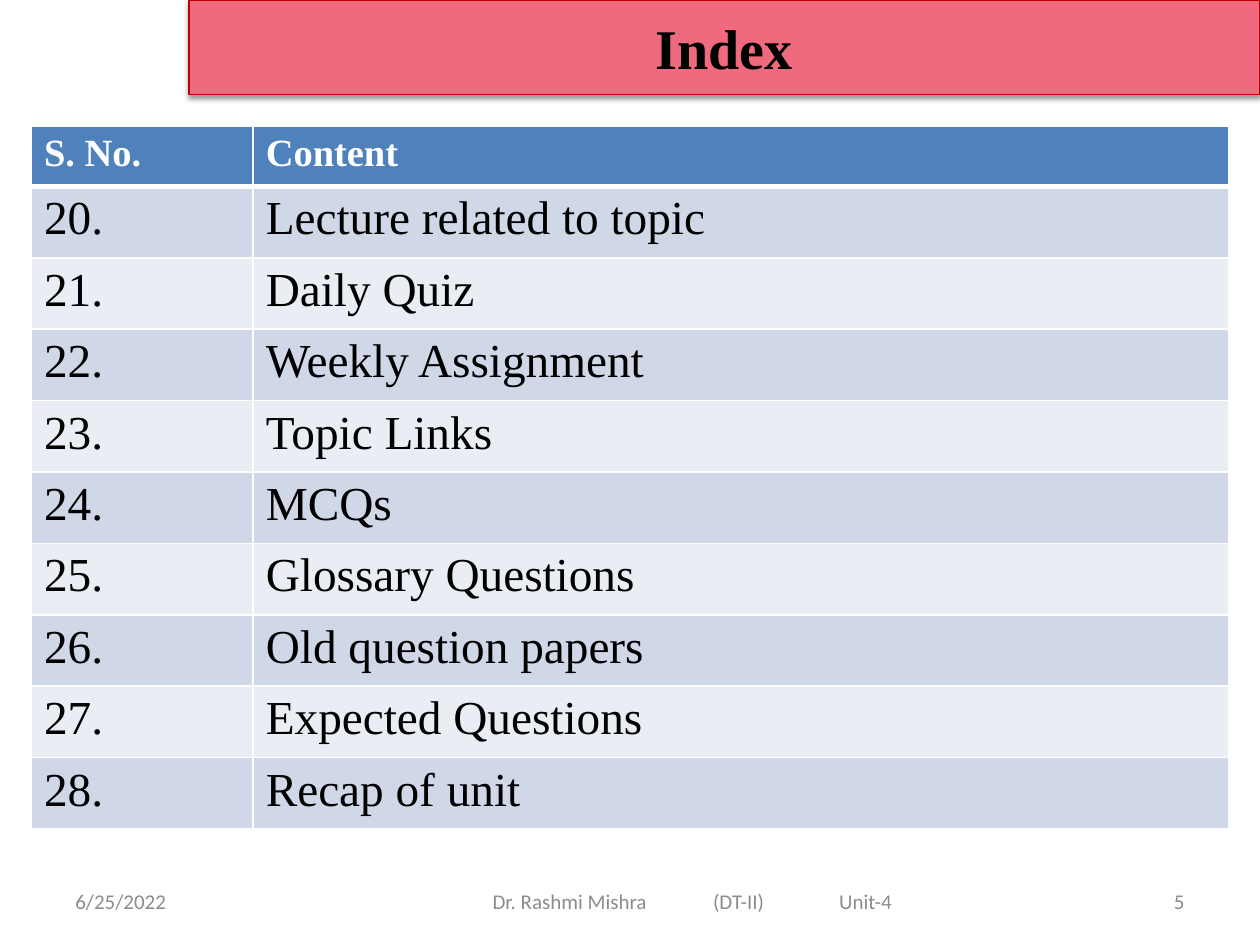
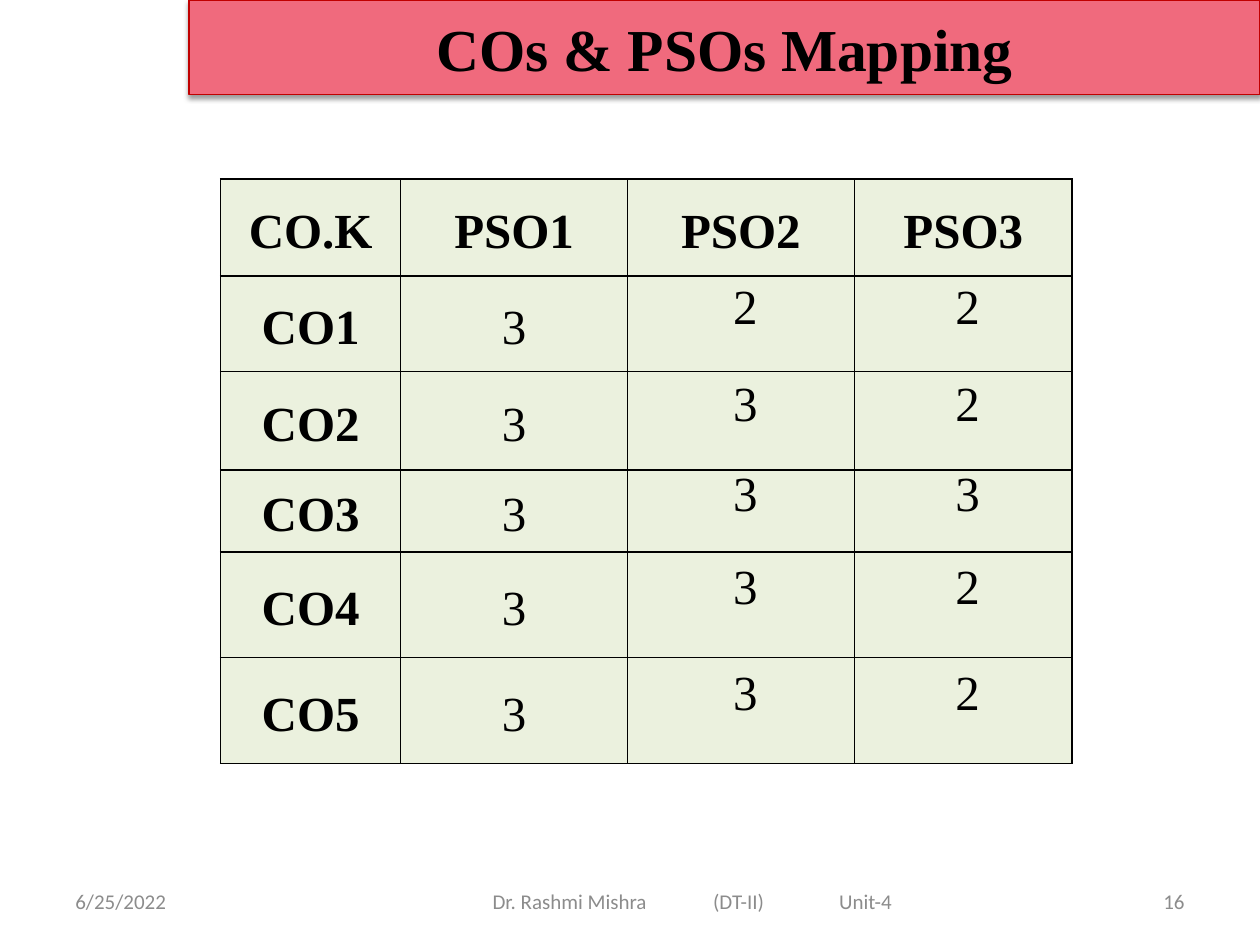
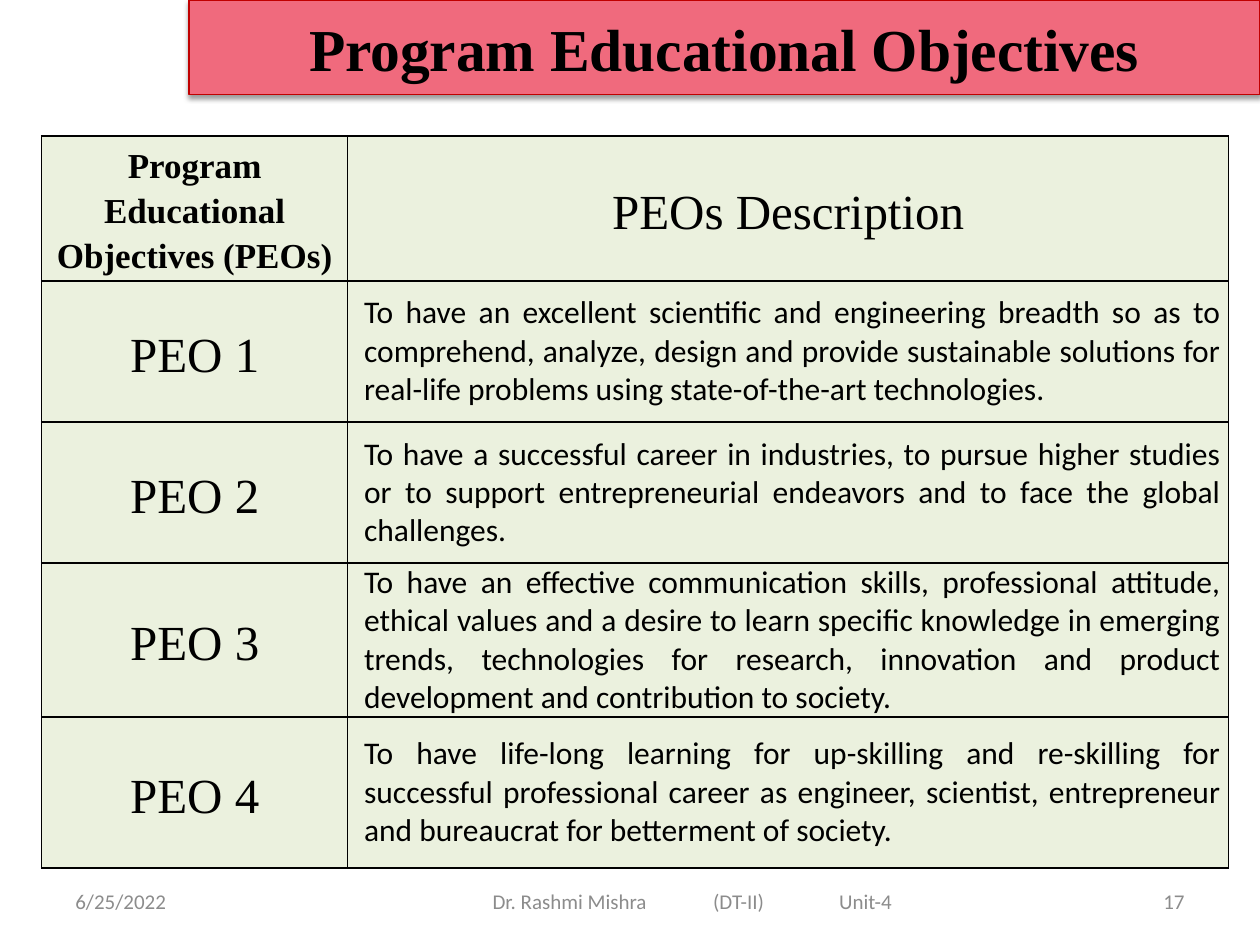
from dataclasses import dataclass

from pptx import Presentation
from pptx.dml.color import RGBColor
from pptx.enum.shapes import MSO_SHAPE
from pptx.enum.text import MSO_ANCHOR, PP_ALIGN
from pptx.oxml import parse_xml
from pptx.oxml.ns import nsdecls
from pptx.util import Inches, Pt


@dataclass(frozen=True)
class Theme:
    serif: str = "Times New Roman"
    sans: str = "Calibri"
    ink: str = "000000"
    white: str = "FFFFFF"
    muted: str = "8C8C8C"
    band: str = "F06A7D"
    band_edge: str = "C00000"
    header: str = "4F81BD"
    stripes: tuple = ("D0D8E8", "E9EDF4")
    mapping: str = "EBF1DE"
    title: int = 34
    cell: int = 28
    index: int = 27
    heading: int = 22
    label: int = 20
    body: int = 18
    footer: int = 12


THEME = Theme()
CENTER, JUSTIFY, RIGHT = PP_ALIGN.CENTER, PP_ALIGN.JUSTIFY, PP_ALIGN.RIGHT
TIGHT = {
    "margin_left": Inches(0.06), "margin_right": Inches(0.06),
    "margin_top": 0, "margin_bottom": 0,
    "vertical_anchor": MSO_ANCHOR.MIDDLE,
}
SPACED = {"alignment": CENTER, "line_spacing": 1.15}


def apply(target, values):
    for name, value in values.items():
        setattr(target, name, value)


@dataclass(frozen=True)
class CellStyle:
    fill: str
    size: int
    font: str = THEME.serif
    color: str = THEME.ink
    bold: bool = False
    indent: float = 0
    paragraph: tuple = ()
    frame: tuple = ()


def green(size=THEME.cell, paragraph=SPACED, **options):
    """Style of a cell in the two black-ruled tables."""
    return CellStyle(THEME.mapping, size, paragraph=tuple(paragraph.items()),
                     frame=tuple(TIGHT.items()), **options)


class Deck:
    def __init__(self, theme):
        self.theme = theme
        self.presentation = Presentation()
        apply(self.presentation, {"slide_width": Inches(10), "slide_height": Inches(7.5)})
        self.slide = None

    def new_slide(self, title, number, title_size=THEME.title):
        self.slide = self.presentation.slides.add_slide(self.presentation.slide_layouts[6])
        self.footer(0.5, 2.33, "6/25/2022")
        self.footer(7.17, 2.33, str(number), RIGHT)
        self.title_band(title, title_size)
        # The author line starts inside its box and is spaced by tab stops.
        self.footer(2.75, 5.5, "Dr. Rashmi Mishra\t(DT-II)\tUnit-4",
                    inset=1.16, tabs=(1.75, 2.75))

    def add_text(self, paragraph, text, size, font, color, bold=False):
        run = paragraph.add_run()
        run.text = text
        apply(run.font, {"name": font, "size": Pt(size), "bold": bold})
        run.font.color.rgb = RGBColor.from_string(color)

    def footer(self, left, width, text, align=PP_ALIGN.LEFT, inset=0.1, tabs=()):
        frame = self.slide.shapes.add_textbox(
            Inches(left), Inches(6.95), Inches(width), Inches(0.4)).text_frame
        apply(frame, {"word_wrap": True, "vertical_anchor": MSO_ANCHOR.MIDDLE,
                      "margin_left": Inches(inset)})
        paragraph = frame.paragraphs[0]
        if tabs:
            stops = "".join(f'<a:tab pos="{Inches(tab)}" algn="l"/>' for tab in tabs)
            paragraph._p.get_or_add_pPr().append(
                parse_xml(f'<a:tabLst {nsdecls("a")}>{stops}</a:tabLst>'))
        paragraph.alignment = align
        self.add_text(paragraph, text, self.theme.footer, self.theme.sans, self.theme.muted)

    def title_band(self, text, size):
        band = self.slide.shapes.add_shape(
            MSO_SHAPE.RECTANGLE, Inches(1.5), 0, Inches(8.5), Inches(0.75))
        band.fill.solid()
        band.fill.fore_color.rgb = RGBColor.from_string(self.theme.band)
        band.line.color.rgb = RGBColor.from_string(self.theme.band_edge)
        band.line.width = Pt(0.75)
        band.shadow.inherit = False
        band._element.spPr.find("{*}effectLst").append(parse_xml(
            f'<a:outerShdw {nsdecls("a")} blurRad="{Pt(3.1)}" dist="{Pt(1.6)}" '
            'dir="5400000" rotWithShape="0"><a:srgbClr val="000000">'
            '<a:alpha val="38000"/></a:srgbClr></a:outerShdw>'))
        apply(band.text_frame, {"word_wrap": True, "vertical_anchor": MSO_ANCHOR.MIDDLE})
        paragraph = band.text_frame.paragraphs[0]
        paragraph.alignment = CENTER
        self.add_text(paragraph, text, size, self.theme.serif, self.theme.ink, True)

    def table(self, left, top, widths, heights, rows, style_of, rule, header_rule=1):
        """Draw rows of text; style_of(row, column) gives each cell its style."""
        grid = self.slide.shapes.add_table(
            len(heights), len(widths), Inches(left), Inches(top),
            Inches(sum(widths)), Inches(sum(heights))).table
        apply(grid, {"first_row": False, "horz_banding": False})
        for column, width in zip(grid.columns, widths):
            column.width = Inches(width)
        for row, height in zip(grid.rows, heights):
            row.height = Inches(height)
        for r, texts in enumerate(rows):
            edges = {"L": 1, "R": 1, "T": header_rule if r == 1 else 1,
                     "B": header_rule if r == 0 else 1}
            for c, text in enumerate(texts):
                self.fill_cell(grid.cell(r, c), text, style_of(r, c))
                self.rule_cell(grid.cell(r, c), rule, edges)

    def fill_cell(self, cell, text, style):
        cell.fill.solid()
        cell.fill.fore_color.rgb = RGBColor.from_string(style.fill)
        apply(cell, dict(style.frame))
        paragraph = cell.text_frame.paragraphs[0]
        apply(paragraph, dict(style.paragraph))
        if style.indent:
            paragraph._p.get_or_add_pPr().set("marL", str(Inches(style.indent)))
        self.add_text(paragraph, text, style.size, style.font, style.color, style.bold)

    def rule_cell(self, cell, color, edges):
        properties = cell._tc.get_or_add_tcPr()
        for place, (side, width) in enumerate(edges.items()):
            properties.insert(place, parse_xml(
                f'<a:ln{side} {nsdecls("a")} w="{Pt(width)}"><a:solidFill>'
                f'<a:srgbClr val="{color}"/></a:solidFill></a:ln{side}>'))


def add_index(deck):
    topics = ["Lecture related to topic", "Daily Quiz", "Weekly Assignment",
              "Topic Links", "MCQs", "Glossary Questions", "Old question papers",
              "Expected Questions", "Recap of unit"]
    rows = [("S. No.", "Content")]
    rows += [(f"{number}.", topic) for number, topic in enumerate(topics, 20)]
    heading = CellStyle(THEME.header, THEME.heading, color=THEME.white, bold=True)
    stripes = [CellStyle(fill, THEME.index) for fill in THEME.stripes]

    def style_of(r, c):
        return stripes[(r - 1) % 2] if r else heading

    heights = [0.48] + [(5.58 - 0.48) / len(topics)] * len(topics)
    deck.new_slide("Index", 5, title_size=32)
    deck.table(0.25, 1, [1.76, 7.74], heights, rows, style_of, THEME.white, header_rule=3)


def add_mapping(deck):
    scores = ["322", "332", "333", "332", "332"]
    rows = [("CO.K", "PSO1", "PSO2", "PSO3")]
    rows += [(f"CO{number}", *levels) for number, levels in enumerate(scores, 1)]
    label, level = green(bold=True), green()
    raised = green(paragraph={"alignment": CENTER, "line_spacing": Pt(12.3)}, indent=0.07)

    def style_of(r, c):
        if r == 0 or c == 0:
            return label
        return level if c == 1 else raised

    deck.new_slide("COs & PSOs Mapping", 16)
    deck.table(1.75, 1.42, [1.43, 1.8, 1.8, 1.73], [0.77, 0.76, 0.78, 0.65, 0.84, 0.84],
               rows, style_of, THEME.ink)


def add_objectives(deck):
    descriptions = [
        "To have an excellent scientific and engineering breadth so as to comprehend, "
        "analyze, design and provide sustainable solutions for real-life problems using "
        "state-of-the-art technologies.",
        "To have a successful career in industries, to pursue higher studies or to support "
        "entrepreneurial endeavors and to face the global challenges.",
        "To have an effective communication skills, professional attitude, ethical values "
        "and a desire to learn specific knowledge in emerging trends, technologies for "
        "research, innovation and product development and contribution to society.",
        "To have life-long learning for up-skilling and re-skilling for successful "
        "professional career as engineer, scientist, entrepreneur and bureaucrat for "
        "betterment of society.",
    ]
    rows = [("Program Educational Objectives (PEOs)", "PEOs Description")]
    rows += [(f"PEO {number}", text) for number, text in enumerate(descriptions, 1)]
    corner, label = green(THEME.label, bold=True), green()
    description = green(THEME.body, {"alignment": JUSTIFY}, font=THEME.sans, indent=0.07)

    def style_of(r, c):
        if r == 0 and c == 0:
            return corner
        return description if r and c else label

    deck.new_slide("Program Educational Objectives", 17)
    deck.table(0.33, 1.08, [2.43, 6.99], [1.1, 1.12, 1.12, 1.22, 1.2],
               rows, style_of, THEME.ink)


def main():
    deck = Deck(THEME)
    add_index(deck)
    add_mapping(deck)
    add_objectives(deck)
    deck.presentation.save("out.pptx")


if __name__ == "__main__":
    main()
